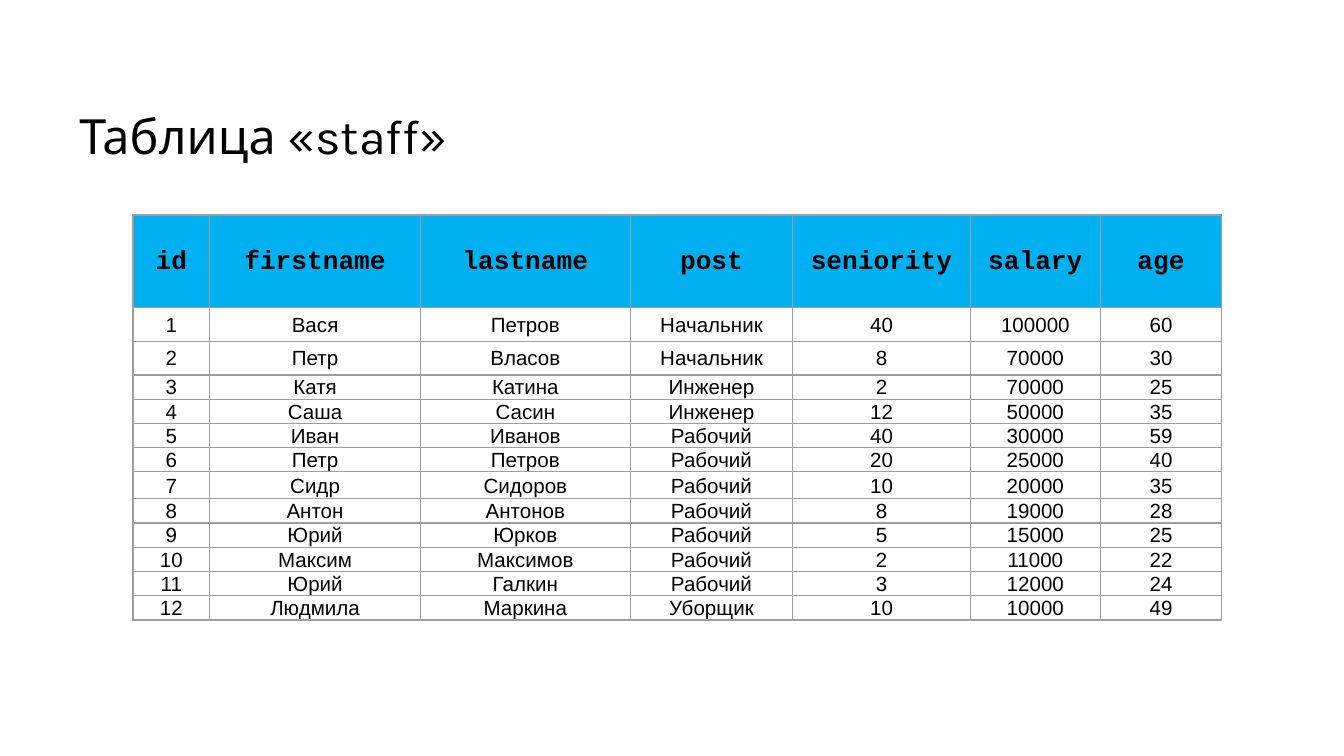
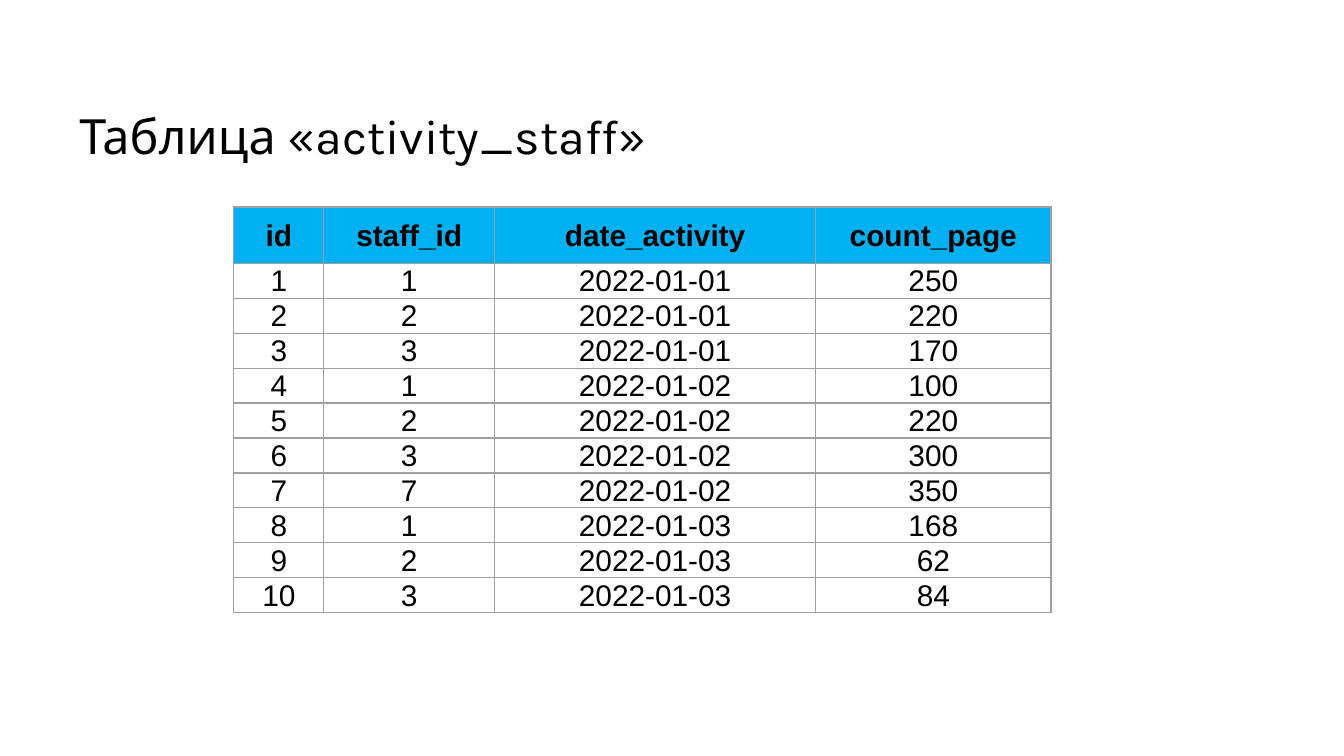
from dataclasses import dataclass

from lxml.etree import SubElement
from pptx import Presentation
from pptx.dml.color import RGBColor as RGB
from pptx.enum.text import MSO_ANCHOR as Anchor, MSO_AUTO_SIZE as Fit, PP_ALIGN as Align
from pptx.oxml.ns import qn
from pptx.slide import Slide
from pptx.table import _Cell as Cell
from pptx.text.text import TextFrame
from pptx.util import Inches, Pt


@dataclass(frozen=True)
class Theme:
    ink: str = "000000"
    head: str = "00B0F0"
    rule: str = "9E9E9E"
    rule_width: float = 0.75
    title_font: str = "Karla"
    body_font: str = "Arial"
    code_font: str = "Courier New"
    title_size: int = 26
    staff_head_size: int = 14
    staff_size: int = 11
    activity_size: int = 16


THEME = Theme()


@dataclass(frozen=True)
class Sheet:
    """A slide with a title and one data table; lengths are in inches."""
    title: str
    title_size: tuple[float, float]
    left: float
    top: float
    widths: list[float]
    heights: list[float]
    head_font: str
    head_size: int
    size: int
    rows: list[list[str]]


STAFF = """\
id firstname lastname post seniority salary age
1 Вася Петров Начальник 40 100000 60
2 Петр Власов Начальник 8 70000 30
3 Катя Катина Инженер 2 70000 25
4 Саша Сасин Инженер 12 50000 35
5 Иван Иванов Рабочий 40 30000 59
6 Петр Петров Рабочий 20 25000 40
7 Сидр Сидоров Рабочий 10 20000 35
8 Антон Антонов Рабочий 8 19000 28
9 Юрий Юрков Рабочий 5 15000 25
10 Максим Максимов Рабочий 2 11000 22
11 Юрий Галкин Рабочий 3 12000 24
12 Людмила Маркина Уборщик 10 10000 49"""

ACTIVITY = """\
id staff_id date_activity count_page
1 1 2022-01-01 250
2 2 2022-01-01 220
3 3 2022-01-01 170
4 1 2022-01-02 100
5 2 2022-01-02 220
6 3 2022-01-02 300
7 7 2022-01-02 350
8 1 2022-01-03 168
9 2 2022-01-03 62
10 3 2022-01-03 84"""


def split(data: str) -> list[list[str]]:
    return [line.split() for line in data.splitlines()]


SHEETS = [
    Sheet("Таблица «staff»", (6.82, 0.55), 0.99, 1.6,
          [0.57, 1.57, 1.56, 1.21, 1.32, 0.97, 0.9],
          [0.69, 0.25, 0.25] + [0.18] * 4 + [0.2] + [0.18] * 5,
          THEME.code_font, THEME.staff_head_size, THEME.staff_size, split(STAFF)),
    Sheet("Таблица «activity_staff»", (7.37, 0.85), 1.74, 1.54,
          [0.67, 1.27, 2.39, 1.75], [0.42] + [0.26] * 10,
          THEME.body_font, THEME.activity_size, THEME.activity_size, split(ACTIVITY)),
]


def write(frame: TextFrame, text: str, *, font: str, size: int,
          bold: bool = False, align: Align = Align.LEFT) -> None:
    line = frame.paragraphs[0]
    line.alignment = align
    run = line.add_run()
    run.text = text
    run.font.name = font
    run.font.size = Pt(size)
    run.font.bold = bold
    run.font.color.rgb = RGB.from_string(THEME.ink)


def frame_cell(cell: Cell) -> None:
    """Rule all four sides; call before the fill, which must follow in the XML."""
    props = cell._tc.get_or_add_tcPr()
    for side in ("a:lnL", "a:lnR", "a:lnT", "a:lnB"):
        line = SubElement(props, qn(side), w=str(Pt(THEME.rule_width)))
        fill = SubElement(line, qn("a:solidFill"))
        SubElement(fill, qn("a:srgbClr"), val=THEME.rule)


def style_cell(cell: Cell, head: bool) -> None:
    cell.margin_left = cell.margin_right = cell.margin_top = Inches(0.01)
    cell.margin_bottom = 0
    cell.vertical_anchor = Anchor.MIDDLE
    frame_cell(cell)
    if head:
        cell.fill.solid()
        cell.fill.fore_color.rgb = RGB.from_string(THEME.head)
    else:
        cell.fill.background()


def add_title(slide: Slide, sheet: Sheet) -> None:
    title = slide.shapes.title
    title.left, title.top = Inches(0.59), Inches(0.79)
    title.width, title.height = map(Inches, sheet.title_size)
    frame = title.text_frame
    frame.margin_left = frame.margin_right = frame.margin_top = frame.margin_bottom = 0
    frame.vertical_anchor = Anchor.TOP
    frame.word_wrap = True
    frame.auto_size = Fit.NONE
    write(frame, sheet.title, font=THEME.title_font, size=THEME.title_size)


def add_grid(slide: Slide, sheet: Sheet) -> None:
    table = slide.shapes.add_table(
        len(sheet.heights), len(sheet.widths), Inches(sheet.left), Inches(sheet.top),
        Inches(sum(sheet.widths)), Inches(sum(sheet.heights))).table
    table.first_row = table.horz_banding = False
    for col, width in zip(table.columns, sheet.widths):
        col.width = Inches(width)
    for r, (height, row) in enumerate(zip(sheet.heights, sheet.rows)):
        table.rows[r].height = Inches(height)
        head = r == 0
        for c, text in enumerate(row):
            cell = table.cell(r, c)
            style_cell(cell, head)
            write(cell.text_frame, text, bold=head, align=Align.CENTER,
                  font=sheet.head_font if head else THEME.body_font,
                  size=sheet.head_size if head else sheet.size)


def main() -> None:
    deck = Presentation()
    deck.slide_width = Inches(10)
    deck.slide_height = Inches(10) * 9 // 16
    layout = deck.slide_layouts.get_by_name("Title Only")
    for sheet in SHEETS:
        slide = deck.slides.add_slide(layout)
        add_title(slide, sheet)
        add_grid(slide, sheet)
    deck.save("out.pptx")


if __name__ == "__main__":
    main()
